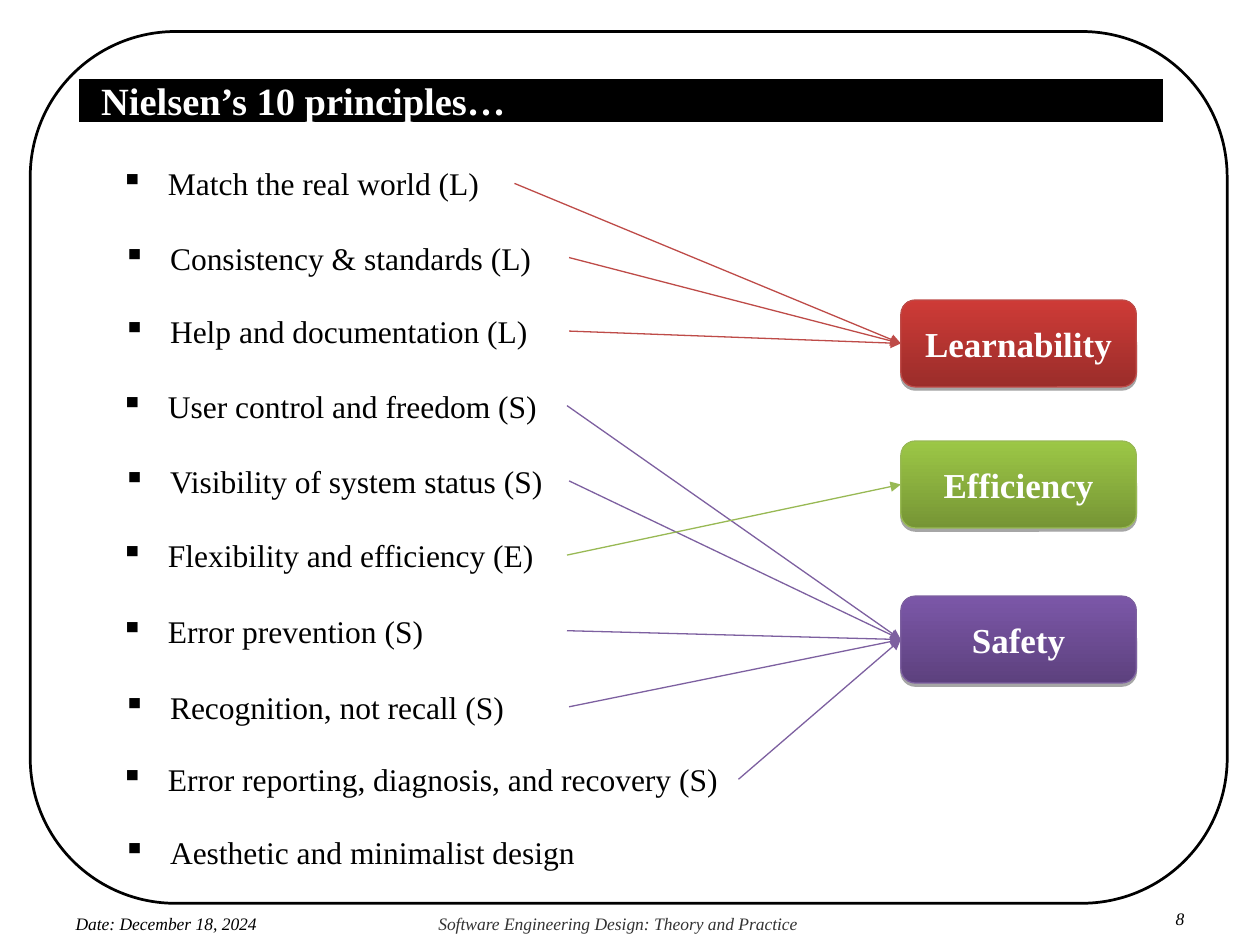
"""Build a slide that links Nielsen's ten principles to three usability goals."""
import pptx
import pptx.dml.color
import pptx.enum.shapes
import pptx.enum.text
import pptx.oxml
import pptx.oxml.ns
import pptx.util

Pt = pptx.util.Pt
SHAPES = pptx.enum.shapes.MSO_SHAPE
ALIGN = pptx.enum.text.PP_ALIGN
ANCHOR = pptx.enum.text.MSO_ANCHOR
NAMESPACE = pptx.oxml.ns.nsdecls("a")

GOALS = {
    "Learnability": (171.4, "9B2D2A", "CE3B37", "BE4B48"),
    "Safety": (340.6, "5D417E", "7B57A8", "7D60A0"),
    "Efficiency": (252, "769535", "9CC746", "98B954"),
}
PRINCIPLES = [
    ("Match the real world (L)", 60, 104.8, 234, "Learnability"),
    ("Consistency & standards (L)", 61.2, 147.2, 264, "Learnability"),
    ("Help and documentation (L)", 61.2, 189.2, 264, "Learnability"),
    ("User control and freedom (S)", 60, 231.8, 264, "Safety"),
    ("Visibility of system status (S)", 61.2, 274.8, 264, "Safety"),
    ("Flexibility and efficiency (E)", 60, 317.2, 264, "Efficiency"),
    ("Error prevention (S)", 60, 360.4, 264, "Safety"),
    ("Recognition, not recall (S)", 61.2, 403.9, 264, "Safety"),
    ("Error reporting, diagnosis, and recovery (S)", 60, 445.3, 362, "Safety"),
    ("Aesthetic and minimalist design", 61.2, 487.1, 362, None),
]
ROW_HEIGHT = 38.4
FOOTERS = [
    ("Software Engineering Design: Theory and Practice", (249.8, 522, 208, 11.8), "333333", 0.7),
    ("8", (663.8, 519.1, 19.4, 11.8), "000000", 8),
    ("Date: December 18, 2024", (42.5, 522, 113.8, 11.8), "000000", 0.7),
]


def color(value):
    return pptx.dml.color.RGBColor.from_string(value)


def assign(target, values):
    for name, value in values.items():
        setattr(target, name, value)


class SlideBuilder:
    font = "Times New Roman"
    no_margins = dict.fromkeys(("margin_left", "margin_top", "margin_right", "margin_bottom"), 0)

    def __init__(self, slide):
        self.slide = slide

    def box(self, kind, bounds, fill, line, line_width):
        shape = self.slide.shapes.add_shape(kind, *map(Pt, bounds))
        shape.shadow.inherit = False
        if fill:
            shape.fill.solid()
            shape.fill.fore_color.rgb = color(fill)
        else:
            shape.fill.background()
        shape.line.color.rgb = color(line)
        shape.line.width = Pt(line_width)
        return shape

    def label(self, shape, text, font, paragraph_format, frame_format, indent=0, bullet=None):
        frame = shape.text_frame
        assign(frame, {"word_wrap": True, **frame_format})
        paragraph = frame.paragraphs[0]
        properties = paragraph._p.get_or_add_pPr()
        properties.set("marL", str(Pt(indent)))
        if bullet:
            properties.set("indent", str(-Pt(indent)))
            for element in ('<a:buClr %s><a:srgbClr val="000000"/></a:buClr>' % NAMESPACE,
                            '<a:buChar %s char="%s"/>' % (NAMESPACE, bullet)):
                properties.append(pptx.oxml.parse_xml(element))
        assign(paragraph, paragraph_format)
        run = paragraph.add_run()
        run.text = text
        values = dict(font)
        run.font.color.rgb = color(values.pop("color"))
        assign(run.font, {"name": self.font, **values})

    def title(self, text, bounds):
        shape = self.box(SHAPES.RECTANGLE, bounds, "000000", "FFFFFF", 2)
        self.label(shape, text, {"size": Pt(22), "bold": True, "color": "FFFFFF"},
                   {"alignment": ALIGN.LEFT},
                   {"vertical_anchor": ANCHOR.TOP, **self.no_margins}, 13.7)

    def footer(self, text, bounds, text_color, indent):
        shape = self.slide.shapes.add_textbox(*map(Pt, bounds))
        self.label(shape, text, {"size": Pt(10), "italic": True, "color": text_color},
                   {"line_spacing": Pt(11.8)}, self.no_margins, indent)

    def goal(self, text, top, dark, light, outline):
        shape = self.box(SHAPES.ROUNDED_RECTANGLE, (514.8, top, 134.6, 49.7), None, outline, 0.75)
        shape.fill.gradient()
        shape.fill.gradient_angle = 90
        for stop, value in zip(shape.fill.gradient_stops, (dark, light)):
            stop.color.rgb = color(value)
        effects = shape._element.spPr.find(pptx.oxml.ns.qn("a:effectLst"))
        effects.append(pptx.oxml.parse_xml(
            '<a:outerShdw %s blurRad="0" dist="%d" dir="5400000" rotWithShape="0">'
            '<a:srgbClr val="000000"><a:alpha val="35000"/></a:srgbClr></a:outerShdw>'
            % (NAMESPACE, Pt(1.8))))
        self.label(shape, text, {"size": Pt(20), "bold": True, "color": "FFFFFF"},
                   {"alignment": ALIGN.CENTER}, {"vertical_anchor": ANCHOR.MIDDLE})
        return shape

    def principle(self, text, left, center, width):
        bounds = (left, center - ROW_HEIGHT / 2, width, ROW_HEIGHT)
        shape = self.box(SHAPES.ROUNDED_RECTANGLE, bounds, "FFFFFF", "FFFFFF", 2)
        self.label(shape, text, {"size": Pt(18), "color": "000000"},
                   {"alignment": ALIGN.JUSTIFY, "space_after": Pt(6)},
                   {"vertical_anchor": ANCHOR.MIDDLE}, 27, "▪")
        return shape

    def arrow(self, start, end, line_color):
        connector = self.slide.shapes.add_connector(
            pptx.enum.shapes.MSO_CONNECTOR.STRAIGHT, 0, 0, 0, 0)
        connector.begin_connect(start, 3)
        connector.end_connect(end, 1)
        connector.line.color.rgb = color(line_color)
        connector.line.width = Pt(0.75)
        connector.line._get_or_add_ln().append(
            pptx.oxml.parse_xml('<a:tailEnd %s type="triangle"/>' % NAMESPACE))
        connector._element.spPr.append(pptx.oxml.parse_xml("<a:effectLst %s/>" % NAMESPACE))


def main():
    presentation = pptx.Presentation()
    assign(presentation, {"slide_width": Pt(720), "slide_height": Pt(540)})
    builder = SlideBuilder(presentation.slides.add_slide(presentation.slide_layouts[6]))
    builder.box(SHAPES.ROUNDED_RECTANGLE, (17.3, 18, 684, 498.2), None, "000000", 1.56)
    builder.title("Nielsen’s 10 principles…", (44.2, 43.9, 621.4, 26.6))
    goals = {name: builder.goal(name, *style) for name, style in GOALS.items()}
    rows = [(builder.principle(*row), goal) for *row, goal in PRINCIPLES]
    for row, goal in rows:
        if goal:
            builder.arrow(row, goals[goal], GOALS[goal][-1])
    for footer in FOOTERS:
        builder.footer(*footer)
    presentation.save("out.pptx")


if __name__ == "__main__":
    main()
